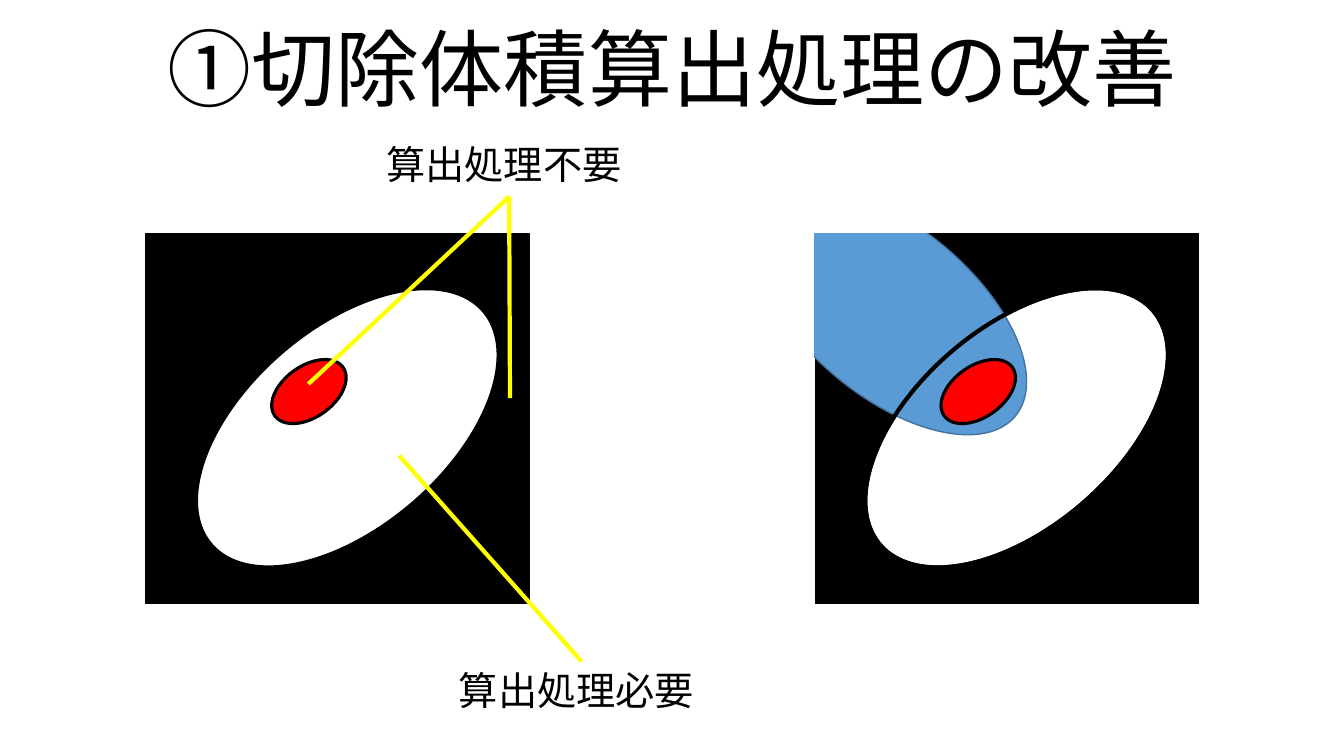
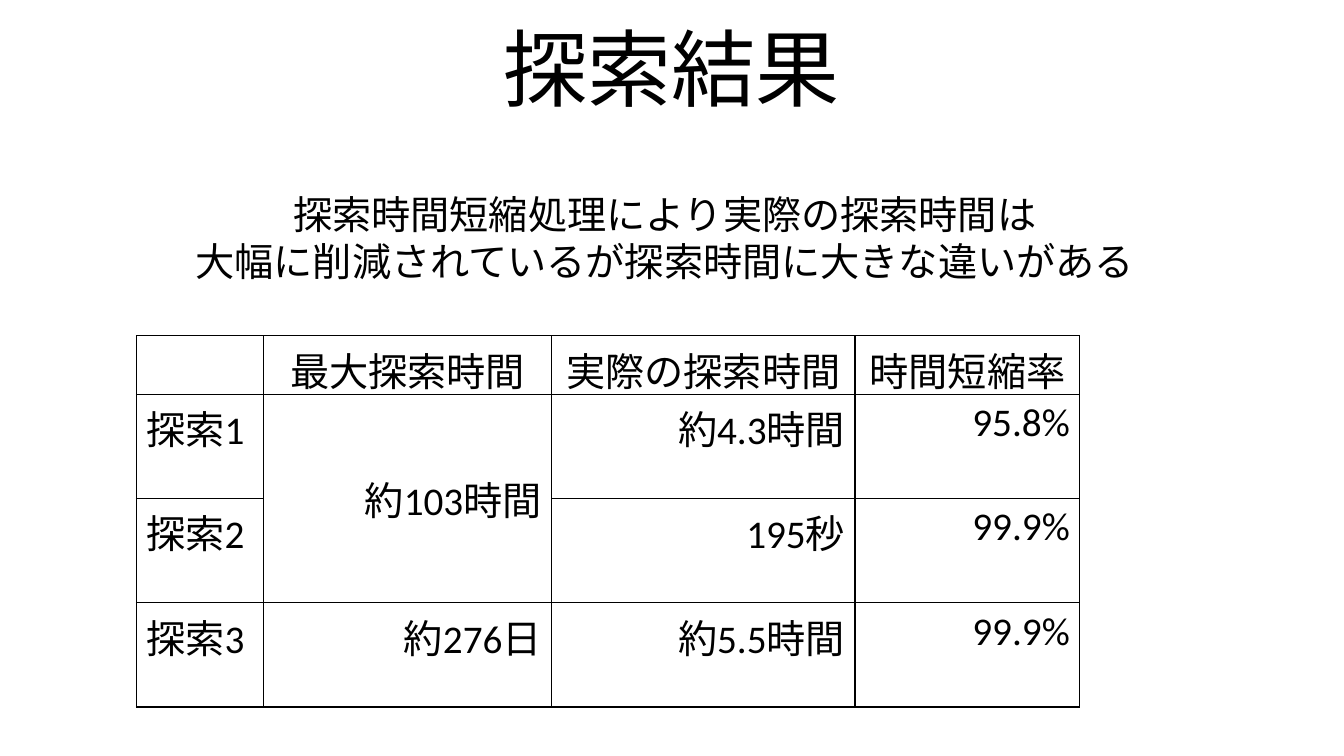
from dataclasses import dataclass

from lxml.etree import SubElement
from pptx import Presentation
from pptx.dml.color import RGBColor as Color
from pptx.enum.lang import MSO_LANGUAGE_ID as Language
from pptx.enum.shapes import MSO_CONNECTOR as Connector, MSO_SHAPE as Preset
from pptx.enum.text import MSO_ANCHOR as Anchor, PP_ALIGN as Align
from pptx.oxml import parse_xml
from pptx.oxml.ns import nsdecls, qn
from pptx.util import Pt


@dataclass(frozen=True)
class Theme:
    """Colours, font and type sizes of the presentation."""

    black: Color = Color(0, 0, 0)
    white: Color = Color(255, 255, 255)
    red: Color = Color(255, 0, 0)
    yellow: Color = Color(255, 255, 0)
    blue: Color = Color(0x5B, 0x9B, 0xD5)
    blue_edge: Color = Color(0x43, 0x73, 0x9E)
    font: str = "Calibri"
    title_size: int = 60
    body_size: int = 28


THEME = Theme()
TITLE_BOX = (66, 0.4, 828, 104.4)
PANEL_SIZE = (273.6, 264.2)


def write_text(frame, text, size=THEME.body_size, align=Align.LEFT,
               spacing=None, anchor=Anchor.TOP):
    """Write the lines of a text into a frame, one paragraph a line."""
    frame.word_wrap = True
    frame.vertical_anchor = anchor
    for index, line in enumerate(text.split("\n")):
        paragraph = frame.add_paragraph() if index else frame.paragraphs[0]
        paragraph.alignment = align
        if spacing:
            paragraph.line_spacing = spacing
        run = paragraph.add_run()
        run.text = line
        run.font.name = THEME.font
        run.font.size = Pt(size)
        run.font.color.rgb = THEME.black
        run.font.language_id = Language.JAPANESE


def add_text(slide, box, text, **text_format):
    """Add a text box and return it."""
    shape = slide.shapes.add_textbox(*map(Pt, box))
    write_text(shape.text_frame, text, **text_format)
    return shape


def add_title(slide, text):
    """Add the shared slide title."""
    add_text(slide, TITLE_BOX, text, size=THEME.title_size,
             align=Align.CENTER, spacing=0.9, anchor=Anchor.MIDDLE)


def add_panel(slide, left, top, resected=False):
    """Draw the organ with its tumour, and the resected region if asked."""
    group = slide.shapes.add_group_shape()

    def place(preset, box, fill, edge, width=1, rotation=0):
        """Add one shape at an offset from the panel corner."""
        x, y, shape_width, shape_height = box
        shape = group.shapes.add_shape(
            preset, Pt(left + x), Pt(top + y), Pt(shape_width), Pt(shape_height))
        shape.shadow.inherit = False
        shape.rotation = rotation
        if fill is None:
            shape.fill.background()
        else:
            shape.fill.solid()
            shape.fill.fore_color.rgb = fill
        shape.line.color.rgb = edge
        shape.line.width = Pt(width)

    organ_box = (72, 10.1, 143.3, 257)
    place(Preset.RECTANGLE, (0, 0, *PANEL_SIZE), THEME.black, THEME.black)
    place(Preset.OVAL, organ_box, THEME.white, THEME.black, 3, 49.4)
    if resected:
        place(Preset.OVAL, (-63.4, -5, 233.3, 121), THEME.blue,
              THEME.blue_edge, rotation=39.9)
    place(Preset.OVAL, (97.9, 82.8, 36.7, 59.8), THEME.red, THEME.black, 2.25, 54.6)
    if resected:
        for mask_box in ((-59, -31, 57.6, 148.3), (-57.6, -58.3, 148.3, 57.6)):
            place(Preset.RECTANGLE, mask_box, THEME.white, THEME.white)
        place(Preset.OVAL, organ_box, None, THEME.black, 3, 49.4)


def add_callout(slide, box, text, side, targets):
    """Add a label and lines from the middle of its side to the targets."""
    label = add_text(slide, box, text)
    for x, y in targets:
        line = slide.shapes.add_connector(Connector.STRAIGHT, 0, 0, Pt(x), Pt(y))
        line.begin_connect(label, side)
        line.line.color.rgb = THEME.yellow
        line.line.width = Pt(3)
        SubElement(line._element.spPr, qn("a:effectLst"))


def set_borders(cell, width=1):
    """Give a table cell a solid line on every side."""
    properties = cell._tc.get_or_add_tcPr()
    for index, side in enumerate("LRTB"):
        properties.insert(index, parse_xml(
            f'<a:ln{side} {nsdecls("a")} w="{Pt(width)}"><a:solidFill>'
            f'<a:srgbClr val="{THEME.black}"/></a:solidFill></a:ln{side}>'))


def add_result_table(slide, left, top, widths, heights, rows):
    """Add the search times, with the first two maximum times merged."""
    table = slide.shapes.add_table(
        len(rows), len(widths), Pt(left), Pt(top),
        Pt(sum(widths)), Pt(sum(heights))).table
    table.first_row = table.horz_banding = False
    for column, width in zip(table.columns, widths):
        column.width = Pt(width)
    for row, height in zip(table.rows, heights):
        row.height = Pt(height)
    table.cell(1, 1).merge(table.cell(2, 1))
    for row_index, values in enumerate(rows):
        for column_index, value in enumerate(values):
            cell = table.cell(row_index, column_index)
            cell.fill.background()
            set_borders(cell)
            if not value:
                continue
            if row_index == 0:
                align = Align.CENTER
            else:
                align = Align.RIGHT if column_index else Align.LEFT
            write_text(cell.text_frame, value, align=align)
            if cell.is_merge_origin:
                cell.vertical_anchor = Anchor.MIDDLE


def build_volume_slide(slide):
    """Show where the resected volume has to be computed."""
    add_title(slide, "①切除体積算出処理の改善")
    add_panel(slide, 582.5, 167, resected=True)
    add_panel(slide, 104.4, 167)
    add_callout(slide, (269, 96.5, 189.4, 43.9), "算出処理不要", 2,
                [(220.3, 274.3), (364.3, 284.4)])
    add_callout(slide, (320.7, 472.5, 189.4, 43.9), "算出処理必要", 0,
                [(285.1, 325.4)])


def build_result_slide(slide):
    """Show the search times and how far they were shortened."""
    add_title(slide, "探索結果")
    add_result_table(
        slide, 97.4, 239.8, (90.7, 206, 216.7, 160.6), (41.8, 45.4, 45.4, 45.4),
        [("", "最大探索時間", "実際の探索時間", "時間短縮率"),
         ("探索1", "約103時間", "約4.3時間", "95.8%"),
         ("探索2", "", "195秒", "99.9%"),
         ("探索3", "約276日", "約5.5時間", "99.9%")])
    add_text(slide, (125.3, 132.5, 699, 74.9),
             "探索時間短縮処理により実際の探索時間は\n"
             "大幅に削減されているが探索時間に大きな違いがある",
             align=Align.CENTER)


def main():
    """Build and save the presentation."""
    presentation = Presentation()
    presentation.slide_width, presentation.slide_height = Pt(960), Pt(540)
    blank = presentation.slide_layouts[6]
    for build in (build_volume_slide, build_result_slide):
        build(presentation.slides.add_slide(blank))
    presentation.save("out.pptx")


if __name__ == "__main__":
    main()
